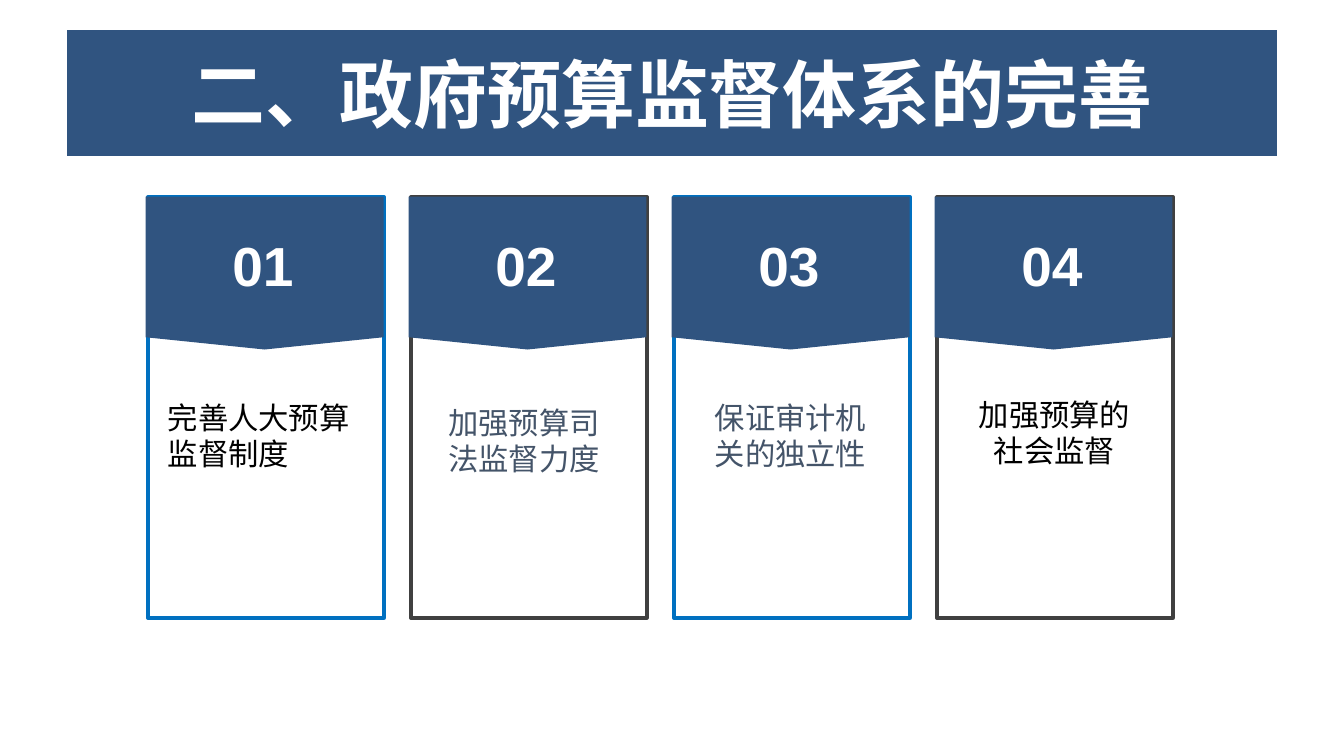
from lxml.etree import SubElement
from pptx import Presentation
from pptx.dml.color import RGBColor
from pptx.enum.shapes import MSO_SHAPE as Shape
from pptx.enum.text import MSO_ANCHOR as Anchor, PP_ALIGN as Align
from pptx.oxml.ns import qn
from pptx.util import Emu, Pt

NAVY = RGBColor(0x30, 0x54, 0x80)
BLUE = RGBColor(0x00, 0x70, 0xC0)
CHARCOAL = RGBColor(0x40, 0x40, 0x40)
SLATE = RGBColor(0x44, 0x54, 0x69)
BLACK = RGBColor(0, 0, 0)
WHITE = RGBColor(255, 255, 255)
CJK_FONT = "Noto Sans CJK SC"

# Content: caption, its left, top and width in px, alignment, font, colour
TITLE = "二、政府预算监督体系的完善"
MEASURES = [
    ("完善人大预算监督制度", (168, 399, 198), Align.LEFT, "Calibri", BLACK),
    ("加强预算司法监督力度", (444, 404, 160), Align.CENTER, "Arial", SLATE),
    ("保证审计机关的独立性", (701, 399, 179), Align.CENTER, "Arial", SLATE),
    ("加强预算的社会监督", (970, 396, 169), Align.CENTER, "Calibri", BLACK),
]
OUTLINES = [BLUE, CHARCOAL]

# Layout in px
SCALE = 6694
CARD_LEFT, CARD_TOP, CARD_W, CARD_H, CARD_PITCH = 148, 197, 236, 421, 263
PLATE_W, PLATE_H = 238, 153
NUMBER_W, NUMBER_H, NUMBER_TOP = 132, 78, 227
CAPTION_H = 74


def px(*lengths):
    return [Emu(length * SCALE) for length in lengths]


def add_block(kind, box, fill, outline=None):
    block = slide.shapes.add_shape(kind, *px(*box))
    block.shadow.inherit = False
    block.fill.solid()
    block.fill.fore_color.rgb = fill
    if outline is None:
        block.line.fill.background()
    else:
        block.line.color.rgb = outline
        block.line.width = Pt(2)
    return block


def write(holder, text, size, font, color, align=Align.CENTER, bold=False,
          margins=(0, 0)):
    frame = holder.text_frame
    frame.word_wrap = True
    frame.margin_left = frame.margin_right = px(margins[0])[0]
    frame.margin_top = frame.margin_bottom = px(margins[1])[0]
    paragraph = frame.paragraphs[0]
    paragraph.alignment = align
    run = paragraph.add_run()
    run.text = text
    run.font.size = Pt(size)
    run.font.bold = bold
    run.font.color.rgb = color
    run.font.name = font
    # East Asian typeface
    SubElement(run.font._element, qn("a:ea"), typeface=CJK_FONT)


prs = Presentation()
prs.slide_width, prs.slide_height = px(1344, 753)
slide = prs.slides.add_slide(prs.slide_layouts[6])

# Numbered cards
for i, (caption, (left, top, width), align, font, color) in enumerate(MEASURES):
    card_left = CARD_LEFT + i * CARD_PITCH
    center = card_left + CARD_W // 2 - 2
    add_block(Shape.RECTANGLE, (card_left, CARD_TOP, CARD_W, CARD_H), WHITE,
              OUTLINES[i % 2])

    # Pentagon turned to point down: its own width is the drawn height
    plate_box = (center - PLATE_H // 2,
                 CARD_TOP + (PLATE_H - PLATE_W) // 2, PLATE_H, PLATE_W)
    plate = add_block(Shape.PENTAGON, plate_box, NAVY)
    plate.adjustments[0] = 0.08
    plate.rotation = 90

    number = slide.shapes.add_textbox(
        *px(center - NUMBER_W // 2 - 1, NUMBER_TOP, NUMBER_W, NUMBER_H))
    write(number, f"{i + 1:02}", 29, "Arial", WHITE, bold=True, margins=(10, 5))

    measure = slide.shapes.add_textbox(*px(left, top, width, CAPTION_H))
    write(measure, caption, 16, font, color, align)

# Title band
band = add_block(Shape.RECTANGLE, (67, 30, 1210, 126), NAVY)
band.text_frame.vertical_anchor = Anchor.MIDDLE
write(band, TITLE, 39, "Calibri", WHITE, bold=True, margins=(12, 5))

prs.save("out.pptx")
